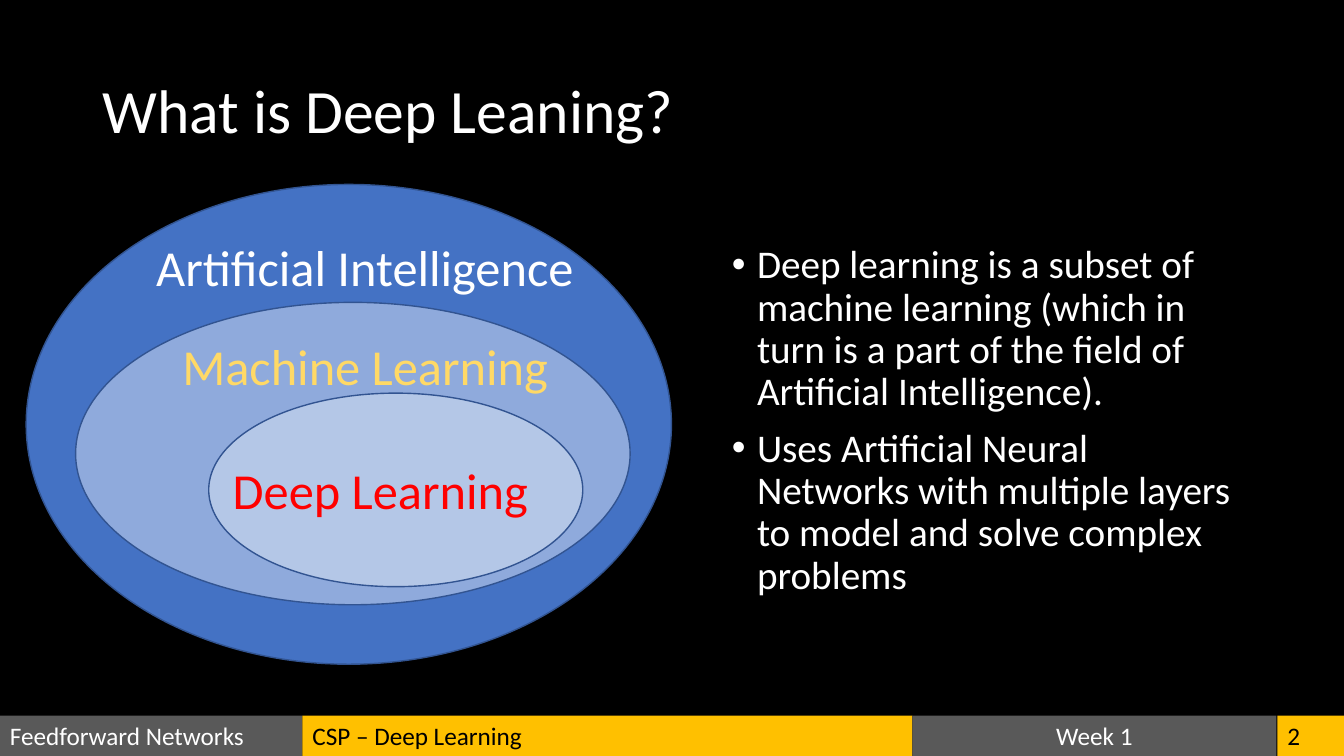
from lxml import etree
from pptx import Presentation
from pptx import util as u
from pptx.dml.color import RGBColor
from pptx.enum import shapes, text
from pptx.oxml.ns import qn

COLORS = {
    "black": "000000", "white": "FFFFFF", "grey": "595959", "gold": "FFC000",
    "outline": "325491", "ai": "4472C4", "ml": "8FAADC", "dl": "B4C7E7",
    "yellow": "FFD966", "red": "FF0000",
}
FONT = "Calibri"
LEFT, CENTER = text.PP_ALIGN.LEFT, text.PP_ALIGN.CENTER
TOP, MIDDLE = text.MSO_ANCHOR.TOP, text.MSO_ANCHOR.MIDDLE


def rgb(name):
    return RGBColor.from_string(COLORS[name])


def add_bullet(paragraph):
    props = paragraph._p.get_or_add_pPr()
    props.set("marL", str(u.Inches(0.25)))
    props.set("indent", str(u.Inches(-0.25)))
    etree.SubElement(props, qn("a:buFont")).set("typeface", "Arial")
    etree.SubElement(props, qn("a:buChar")).set("char", "•")


def write(holder, *lines, size=18, color="white", align=LEFT, anchor=TOP,
          wrap=True, spacing=None, gap=0, bullets=False):
    """Fill a shape or text box with one paragraph per line."""
    frame = holder.text_frame
    frame.word_wrap = wrap
    frame.vertical_anchor = anchor
    for i, line in enumerate(lines):
        paragraph = frame.add_paragraph() if i else frame.paragraphs[0]
        if bullets:
            add_bullet(paragraph)
        paragraph.alignment = align
        if spacing:
            paragraph.line_spacing = spacing
        if i and gap:
            paragraph.space_before = u.Pt(gap)
        run = paragraph.add_run()
        run.text = line
        run.font.name = FONT
        run.font.size = u.Pt(size)
        run.font.color.rgb = rgb(color)


def add_text(slide, box, *lines, **style):
    write(slide.shapes.add_textbox(*map(u.Inches, box)), *lines, **style)


def add_filled(slide, kind, box, fill, line=None):
    shape = slide.shapes.add_shape(kind, *map(u.Inches, box))
    shape.shadow.inherit = False
    shape.fill.solid()
    shape.fill.fore_color.rgb = rgb(fill)
    if line:
        shape.line.color.rgb = rgb(line)
        shape.line.width = u.Pt(1)
    else:
        shape.line.fill.background()
    return shape


def add_footer(slide):
    bands = [
        (0, 3, "grey", "white", LEFT, "Feedforward Networks"),
        (3, 6.05, "gold", "black", LEFT, "CSP – Deep Learning"),
        (9.05, 3.61, "grey", "white", CENTER, "Week 1"),
        (12.67, 0.67, "gold", "black", LEFT, "2"),
    ]
    for left, width, fill, color, align, label in bands:
        band = add_filled(slide, shapes.MSO_SHAPE.RECTANGLE,
                          (left, 7.1, width, 0.4), fill)
        write(band, label, color=color, align=align, anchor=MIDDLE)


def add_nested_fields(slide):
    # Ellipses first, largest at the back, then their labels
    ellipses = [
        ((0.26, 1.83, 6.4, 4.76), "ai"),
        ((0.75, 3, 5.5, 3), "ml"),
        ((2.07, 3.9, 3.71, 1.92), "dl"),
    ]
    for box, fill in ellipses:
        add_filled(slide, shapes.MSO_SHAPE.OVAL, box, fill, line="outline")

    labels = [
        ((1.45, 2.29, 4.39, 0.71), "Artificial Intelligence", "white"),
        ((1.71, 3.28, 3.86, 0.71), "Machine Learning", "yellow"),
        ((2.21, 4.51, 3.16, 0.71), "Deep Learning", "red"),
    ]
    for box, label, color in labels:
        add_text(slide, box, label, size=36, color=color, wrap=False)


def main():
    deck = Presentation()
    deck.slide_width, deck.slide_height = u.Inches(13.33), u.Inches(7.5)
    slide = deck.slides.add_slide(deck.slide_layouts[6])
    slide.background.fill.solid()
    slide.background.fill.fore_color.rgb = rgb("black")

    add_footer(slide)

    # Title and explanation
    add_text(slide, (0.92, 0.4, 11.5, 1.45), "What is Deep Leaning?",
             size=44, anchor=MIDDLE, spacing=0.9)
    add_text(slide, (7.16, 2.38, 5.25, 4.16),
             "Deep learning is a subset of machine learning (which in turn "
             "is a part of the field of Artificial Intelligence).",
             "Uses Artificial Neural Networks with multiple layers to model "
             "and solve complex problems",
             size=28, spacing=0.9, gap=10, bullets=True)

    add_nested_fields(slide)
    deck.save("out.pptx")


if __name__ == "__main__":
    main()
